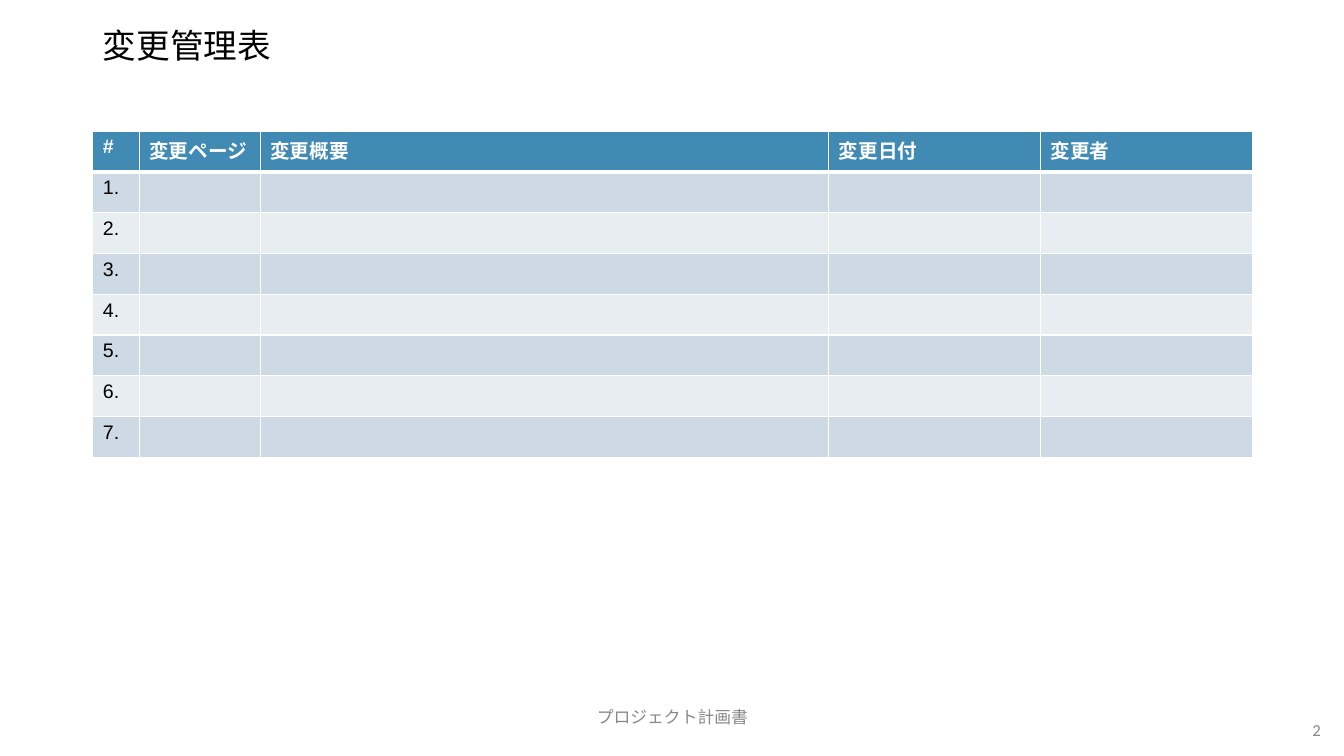
from lxml import etree
from pptx import Presentation
from pptx.dml.color import RGBColor
from pptx.enum import text
from pptx.oxml.ns import qn
from pptx.util import Inches, Pt

WHITE, BLACK, GRAY = "FFFFFF", "000000", "888888"
HEAD, BANDS = "418AB3", ("E8EDF2", "CDD9E4")
LEFT, RIGHT, MID = text.PP_ALIGN.LEFT, text.PP_ALIGN.RIGHT, text.PP_ALIGN.CENTER


def color(code):
    """Turn a hex string into a colour."""
    return RGBColor.from_string(code)


def edge(cell, side, width):
    """Draw one white border of a cell; side is L, R, T or B."""
    line = etree.SubElement(cell._tc.get_or_add_tcPr(), qn("a:ln" + side), w=str(Pt(width)))
    fill = etree.SubElement(line, qn("a:solidFill"))
    etree.SubElement(fill, qn("a:srgbClr"), val=WHITE)


class Page:
    """Holds the style and the current slide."""

    def __init__(self, deck):
        """Add a title-only slide."""
        self.slide = deck.slides.add_slide(deck.slide_layouts[5])

    def style(self, para, size, face, ink, bold=False, align=LEFT):
        """Set the font and alignment of a paragraph."""
        font = para.font
        font.size, font.name, font.bold = Pt(size), face, bold
        font.color.rgb = color(ink)
        para.alignment = align

    def title(self, words, box):
        """Fill and place the title."""
        shape = self.slide.shapes.title
        shape.left, shape.top, shape.width, shape.height = map(Inches, box)
        frame = shape.text_frame
        frame.text = words
        frame.vertical_anchor = text.MSO_ANCHOR.MIDDLE
        para = frame.paragraphs[0]
        para.line_spacing = 0.9
        self.style(para, 24, "Arial", BLACK)

    def label(self, words, box, align):
        """Add a grey footer text."""
        frame = self.slide.shapes.add_textbox(*map(Inches, box)).text_frame
        frame.word_wrap = True
        frame.vertical_anchor = text.MSO_ANCHOR.MIDDLE
        frame.text = words
        self.style(frame.paragraphs[0], 12, "Calibri", GRAY, align=align)

    def table(self, rows, box, widths):
        """Add a banded table with a header row."""
        grid = self.slide.shapes.add_table(len(rows), len(widths), *map(Inches, box)).table
        for col, width in zip(grid.columns, widths):
            col.width = Inches(width)
        for r, row in enumerate(rows):
            for c, words in enumerate(row):
                self.cell(grid.cell(r, c), words, r)

    def cell(self, cell, words, r):
        """Fill one cell of row r."""
        top = r == 0
        cell.text = words
        self.style(cell.text_frame.paragraphs[0], 14, "Arial", WHITE if top else BLACK, top)
        for side in "LRTB":
            thick = (r, side) in ((0, "B"), (1, "T"))
            edge(cell, side, 3 if thick else 1)
        cell.fill.solid()
        cell.fill.fore_color.rgb = color(HEAD if top else BANDS[r % 2])


deck = Presentation()
deck.slide_width, deck.slide_height = Inches(13.33), Inches(7.5)
page = Page(deck)
page.title("変更管理表", (0.92, 0.14, 11.5, 0.67))
page.label("プロジェクト計画書", (4.42, 6.91, 4.5, 0.4), MID)
page.label("2", (12.3, 7.04, 0.9, 0.4), RIGHT)

heads = ["#", "変更ページ", "変更概要", "変更日付", "変更者"]
rows = [heads] + [[f"{n}."] + [""] * 4 for n in range(1, 8)]
page.table(rows, (0.92, 1.3, 11.5, 3.24), (0.46, 1.2, 5.64, 2.1, 2.1))
deck.save("out.pptx")
